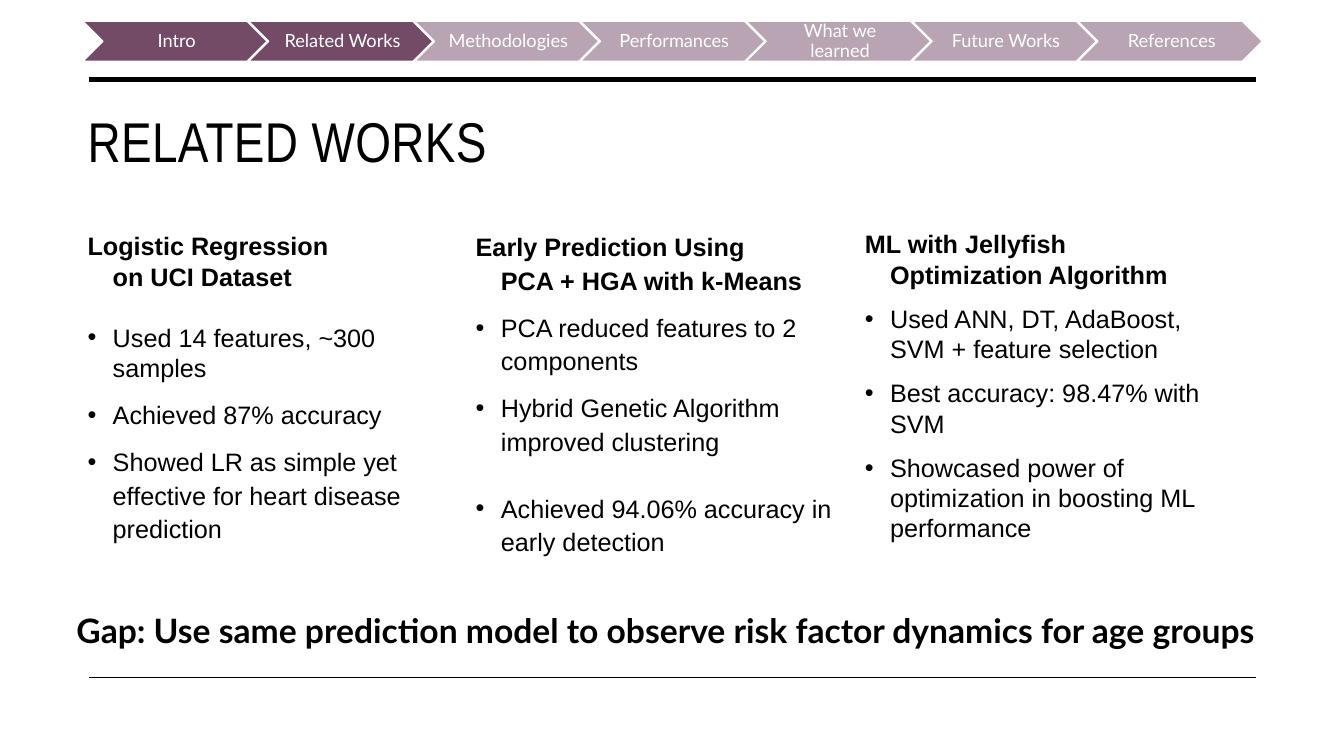
from lxml import etree
from pptx import Presentation
from pptx import util as u
from pptx.dml.color import RGBColor
from pptx.enum import shapes, text
from pptx.oxml.ns import qn

STEPS = ["Intro", "Related Works", "Methodologies", "Performances",
         "What we learned", "Future Works", "References"]
STEPS_REACHED = 2

# Each paragraph: wording, line spacing, space before, space after
STUDIES = [
    (7.7, 22.4, [
        ("Logistic Regression\von UCI Dataset", 1, 10, 12),
        ("Used 14 features, ~300 samples", 1, 10, 0),
        ("Achieved 87% accuracy", 1.1, 10, 0),
        ("Showed LR as simple yet effective for heart disease prediction", 1.1, 10, 12)]),
    (46.2, 22.2, [
        ("Early Prediction Using\vPCA + HGA with k-Means", 1.1, 10, 0),
        ("PCA reduced features to 2 components", 1.1, 10, 0),
        ("Hybrid Genetic Algorithm improved clustering", 1.1, 10, 12),
        ("Achieved 94.06% accuracy in early detection", 1.1, 12, 12)]),
    (84.8, 22.2, [
        ("ML with Jellyfish Optimization Algorithm", 1, 10, 0),
        ("Used ANN, DT, AdaBoost, SVM + feature selection", 1, 10, 0),
        ("Best accuracy: 98.47% with SVM", 1, 10, 0),
        ("Showcased power of optimization in boosting ML performance", 1, 10, 12)]),
]


def color(value):
    return RGBColor.from_string(value)


class SlideBuilder:
    """Holds the style and the slide; lengths are cells of a 0.1 inch grid."""

    CELL = u.Inches(0.1)
    INK, PAPER, PLUM = "000000", "FFFFFF", "734B67"
    BODY, TITLE, ACCENT = "Arial", "Arial Narrow", "Lato"

    def __init__(self, slide):
        self.slide = slide

    def grid(self, *cells):
        return [round(cell * self.CELL) for cell in cells]

    def rule(self, left, right, row, weight):
        line = self.slide.shapes.add_connector(
            shapes.MSO_CONNECTOR.STRAIGHT, *self.grid(left, row, right, row))
        line.line.color.rgb = color(self.INK)
        line.line.width = u.Pt(weight)
        etree.SubElement(line._element.spPr, qn("a:effectLst"))

    def chevron(self, left, top, width, height, opacity):
        shape = self.slide.shapes.add_shape(
            shapes.MSO_SHAPE.CHEVRON, *self.grid(left, top, width, height))
        shape.shadow.inherit = False
        shape.fill.solid()
        shape.fill.fore_color.rgb = color(self.PLUM)
        shape.line.color.rgb = color(self.PAPER)
        shape.line.width = u.Pt(1)
        if opacity < 100:
            fill = shape._element.spPr.find(qn("a:solidFill"))
            etree.SubElement(fill[0], qn("a:alpha"), val=str(opacity * 1000))

    def frame(self, left, top, width, height):
        box = self.slide.shapes.add_textbox(*self.grid(left, top, width, height))
        box.text_frame.word_wrap = True
        return box.text_frame

    def style(self, paragraph, font, size, ink=INK, bold=False):
        paragraph.font.name = font
        paragraph.font.size = u.Pt(size)
        paragraph.font.color.rgb = color(ink)
        paragraph.font.bold = bold

    def label(self, place, wording, font, size, **look):
        frame = self.frame(*place)
        paragraph = frame.paragraphs[0]
        paragraph.text = wording
        self.style(paragraph, font, size, **look)
        return frame, paragraph

    def step(self, left, top, wording, opacity):
        self.chevron(left, top, 18.3, 4, opacity)
        frame, paragraph = self.label((left + 2.02, top, 14.2, 4), wording,
                                      self.ACCENT, 13, ink=self.PAPER)
        frame.vertical_anchor = text.MSO_ANCHOR.MIDDLE
        frame.margin_left = u.Inches(0.06)
        frame.margin_right = frame.margin_top = frame.margin_bottom = u.Inches(0.02)
        paragraph.alignment = text.PP_ALIGN.CENTER
        paragraph.line_spacing = 0.9
        paragraph.space_after = u.Pt(4.5)

    def title(self, place, wording):
        frame, paragraph = self.label(place, wording, self.TITLE, 40)
        frame.vertical_anchor = text.MSO_ANCHOR.MIDDLE
        paragraph.line_spacing = 0.9
        paragraph.runs[0]._r.get_or_add_rPr().set("spc", "30")

    def study(self, left, top, lines):
        frame = self.frame(left, top, 37.3, 33.7)
        for index, (wording, spacing, before, after) in enumerate(lines):
            paragraph = frame.add_paragraph() if index else frame.paragraphs[0]
            paragraph.text = wording
            paragraph.line_spacing = spacing
            paragraph.space_before = u.Pt(before)
            paragraph.space_after = u.Pt(after)
            # Hanging indent for all; bullets below the heading
            properties = paragraph._p.get_or_add_pPr()
            properties.set("marL", str(u.Inches(0.25)))
            properties.set("indent", str(-u.Inches(0.25)))
            if index:
                etree.SubElement(properties, qn("a:buFont"), typeface=self.BODY)
                etree.SubElement(properties, qn("a:buChar"), char="•")
            self.style(paragraph, self.BODY, 18, bold=index == 0)


def main():
    presentation = Presentation()
    presentation.slide_width = u.Inches(13.33)
    presentation.slide_height = u.Inches(7.5)
    builder = SlideBuilder(presentation.slides.add_slide(presentation.slide_layouts[6]))

    # Rules and title
    builder.rule(8.8, 124.6, 7.9, 3.5)
    builder.rule(8.8, 124.6, 67.2, 1)
    builder.title((7.7, 10, 116.9, 8.7), "RELATED WORKS")

    # Progress bar
    for index, wording in enumerate(STEPS):
        builder.step(8.2 + index * 16.45, 2.1, wording,
                     100 if index < STEPS_REACHED else 50)

    # Three studies
    for left, top, lines in STUDIES:
        builder.study(left, top, lines)

    # Research gap
    builder.label((6.6, 60, 120.1, 5),
                  "Gap: Use same prediction model to observe risk factor dynamics for age groups",
                  builder.ACCENT, 24, bold=True)

    presentation.save("out.pptx")


if __name__ == "__main__":
    main()
